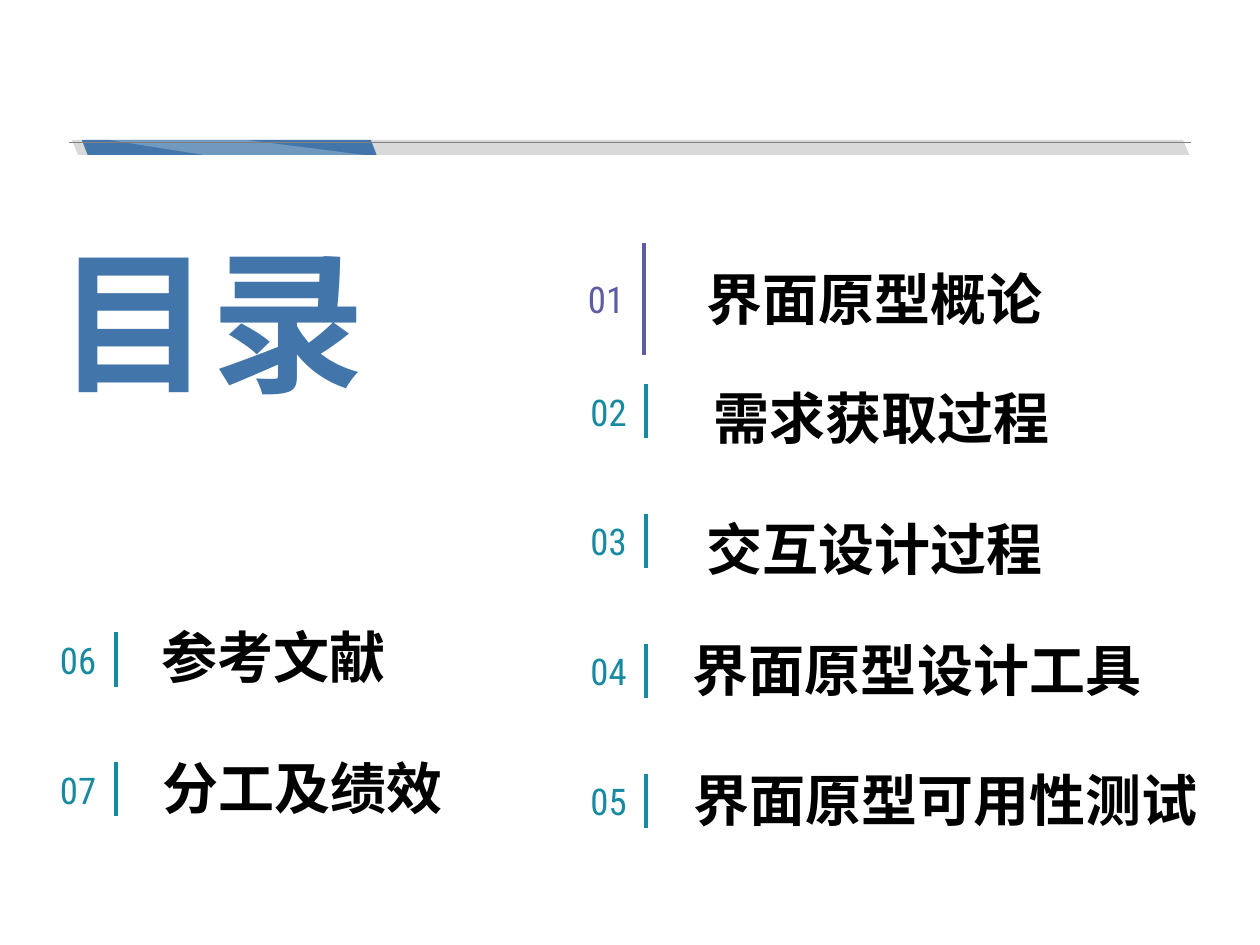
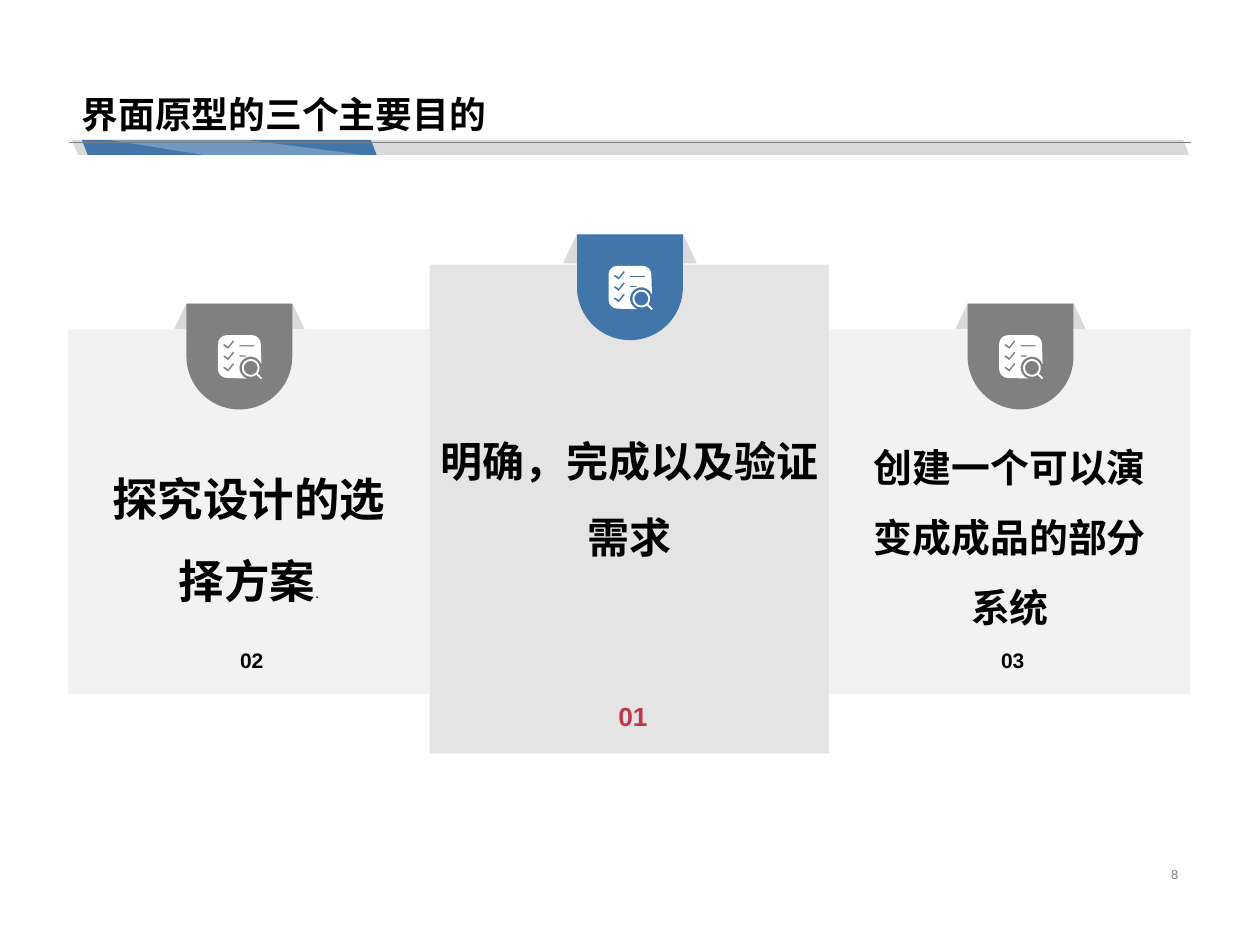
import math

from lxml import etree
from pptx import Presentation
from pptx import util as u
from pptx.dml import color
from pptx.enum import shapes, text
from pptx.oxml import ns

BLUE, TEAL, PURPLE, RED = "4276AA", "178AA1", "5E5CA2", "BD374A"
BLACK, WHITE, GRAY, SILVER, PALE = "000000", "FFFFFF", "808080", "D9D9D9", "F2F2F2"
BODY_FONT, NUMBER_FONT = "Arial", "Roboto Condensed"
LEFT, CENTER, RIGHT = text.PP_ALIGN.LEFT, text.PP_ALIGN.CENTER, text.PP_ALIGN.RIGHT
MIDDLE, BOTTOM = text.MSO_ANCHOR.MIDDLE, text.MSO_ANCHOR.BOTTOM
SHAPE = shapes.MSO_SHAPE
WIDE_INSETS = (0.1, 0.05, 0.1, 0.05)
TIGHT_INSETS = (0.07, 0.04, 0.07, 0.04)
NO_INSETS = (0, 0, 0, 0)


def rgb(value):
    return color.RGBColor.from_string(value)


def paint(shape, fill, alpha=None):
    shape.shadow.inherit = False
    shape.fill.solid()
    shape.fill.fore_color.rgb = rgb(fill)
    if alpha is not None:
        fill_color = shape.fill._xPr.find(".//" + ns.qn("a:srgbClr"))
        etree.SubElement(fill_color, ns.qn("a:alpha"), val=str(alpha * 1000))
    shape.line.fill.background()


def add_preset(slide, preset, left, top, width, height, fill, adjust=(), alpha=None):
    shape = slide.shapes.add_shape(
        preset, u.Inches(left), u.Inches(top), u.Inches(width), u.Inches(height))
    for index, value in enumerate(adjust):
        shape.adjustments[index] = value
    paint(shape, fill, alpha)
    return shape


def add_outline(slide, left, top, contours, fill, alpha=None):
    """Draw closed contours as one shape; inner contours are holes."""
    builder = None
    for contour in contours:
        corners = [(u.Inches(left + x), u.Inches(top + y)) for x, y in contour]
        if builder is None:
            builder = slide.shapes.build_freeform(*corners[0])
        else:
            builder.move_to(*corners[0])
        builder.add_line_segments(corners[1:], close=True)
    paint(builder.convert_to_shape(), fill, alpha)


def add_line(slide, x1, y1, x2, y2, line, weight):
    connector = slide.shapes.add_connector(
        shapes.MSO_CONNECTOR.STRAIGHT,
        u.Inches(x1), u.Inches(y1), u.Inches(x2), u.Inches(y2))
    connector.line.color.rgb = rgb(line)
    connector.line.width = u.Pt(weight)
    etree.SubElement(connector._element.spPr, ns.qn("a:effectLst"))


def write(shape, runs, align=LEFT, anchor=MIDDLE, insets=TIGHT_INSETS,
          wrap=True, spacing=None):
    """Each run is (words, size, colour, bold, font)."""
    frame = shape.text_frame
    frame.word_wrap = wrap
    frame.vertical_anchor = anchor
    (frame.margin_left, frame.margin_top,
     frame.margin_right, frame.margin_bottom) = map(u.Inches, insets)
    paragraph = frame.paragraphs[0]
    paragraph.alignment = align
    if spacing:
        paragraph.line_spacing = spacing
    for words, size, ink, bold, font in runs:
        run = paragraph.add_run()
        run.text = words
        run.font.size = u.Pt(size)
        run.font.bold = bold
        run.font.name = font
        run.font.color.rgb = rgb(ink)


def add_text(slide, left, top, width, height, runs, **layout):
    box = slide.shapes.add_textbox(
        u.Inches(left), u.Inches(top), u.Inches(width), u.Inches(height))
    write(box, runs, **layout)


# Shared header and title
def add_slide(presentation, title=None):
    slide = presentation.slides.add_slide(presentation.slide_layouts[6])
    add_header_band(slide, 0.57, 1.11, 8.87, 0.12)
    if title:
        add_text(slide, 0.55, 0, 8.9, 1.13, [(title, 21, BLACK, True, BODY_FONT)],
                 anchor=BOTTOM, insets=WIDE_INSETS, spacing=0.9)
    return slide


def add_header_band(slide, left, top, width, height):
    for offset, length, slant, fill in ((0, width, 0.42, SILVER),
                                        (0.08, 2.34, 0.39, BLUE)):
        bar = add_preset(slide, SHAPE.PARALLELOGRAM, left + offset, top, length,
                         height, fill, [slant])
        bar._element.spPr.xfrm.set("flipH", "1")
    sheen = [(2.32, height), (1.38, 0), (0.29, 0), (1.05, height)]
    add_outline(slide, left, top, [sheen], WHITE, alpha=25)
    add_line(slide, 0.55, top + 0.02, 9.45, top + 0.02, GRAY, 0.25)


# Agenda slide
def add_agenda_entry(slide, rule_x, top, number, label, label_gap, label_drop,
                     rule_height=0.43, ink=TEAL):
    middle = top + rule_height / 2
    add_text(slide, rule_x - 0.6, middle - 0.19, 0.6, 0.38,
             [(number, 21, ink, False, NUMBER_FONT)],
             align=CENTER, insets=NO_INSETS, wrap=False)
    add_line(slide, rule_x, top, rule_x, top + rule_height, ink, 2.25)
    label_height = 0.72
    add_text(slide, rule_x + label_gap, top + label_drop - label_height,
             len(label) * 0.45 + 0.14, label_height,
             [(label, 32, BLACK, True, BODY_FONT)],
             anchor=BOTTOM, wrap=False, spacing=0.9 if number == "01" else None)


def build_agenda(presentation):
    slide = add_slide(presentation)
    add_text(slide, 0.39, 1.73, 2.6, 1.6, [("目录", 88, BLUE, True, BODY_FONT)],
             wrap=False)
    add_agenda_entry(slide, 5.11, 1.93, "01", "界面原型概论", 0.43, 0.75,
                     rule_height=0.89, ink=PURPLE)
    columns = (
        (5.13, 3.05, 2, (("需求获取过程", 0.46, 0.57), ("交互设计过程", 0.41, 0.58),
                         ("界面原型设计工具", 0.3, 0.51),
                         ("界面原型可用性测试", 0.3, 0.51))),
        (0.92, 5.02, 6, (("参考文献", 0.29, 0.49), ("分工及绩效", 0.3, 0.5))),
    )
    row_pitch = 1.03
    for rule_x, top, first_number, entries in columns:
        for row, (label, gap, drop) in enumerate(entries):
            add_agenda_entry(slide, rule_x, top + row * row_pitch,
                             f"{first_number + row:02d}", label, gap, drop)


# Purposes slide
def arc(center_x, center_y, radius, start, end, steps):
    angles = [math.radians(start + (end - start) * step / steps)
              for step in range(steps + 1)]
    return [(center_x + radius * math.cos(angle), center_y + radius * math.sin(angle))
            for angle in angles]


def add_checklist_icon(slide, left, top):
    size, corner, lens = 0.34, 0.07, 0.26
    far = size - corner
    # Sheet with a bite around the magnifier
    sheet = (arc(corner, corner, corner, 180, 270, 4)
             + arc(far, corner, corner, 270, 360, 4)
             + arc(lens, lens, 0.09, -20, -250, 12)
             + arc(corner, far, corner, 90, 180, 4))
    tick = [(0.04, 0.08), (0.05, 0.07), (0.08, 0.09), (0.12, 0.04), (0.13, 0.05),
            (0.08, 0.11)]
    ticks = [[(x, y + 0.09 * row) for x, y in tick] for row in range(3)]
    bars = [[(0.17, y), (end, y), (end, y + 0.01), (0.17, y + 0.01)]
            for y, end in ((0.08, 0.29), (0.16, 0.22))]
    rings = [arc(lens, lens, radius, 0, 345, 23) for radius in (0.07, 0.055)]
    handle = [(lens + x, lens + y) for x, y in
              ((0.045, 0.055), (0.055, 0.045), (0.09, 0.08), (0.08, 0.09))]
    add_outline(slide, left, top, [sheet, *ticks, *bars, *rings, handle], WHITE)


def add_card(slide, box, fill, alpha, tab_center, tab_rise, tab_fill,
             number, body_box, body):
    left, top, width, height = box
    tab_top, tab_size = top - tab_rise, 0.84
    tab_left = tab_center - tab_size / 2
    add_preset(slide, SHAPE.TRAPEZOID, tab_center - 0.53, tab_top, 1.06, 0.23,
               SILVER, [0.47])
    panel = add_preset(slide, SHAPE.RECTANGLE, *box, fill, alpha=alpha)
    write(panel, [number], align=CENTER, anchor=BOTTOM, insets=(0.07, 0.04, 0.07, 0.17))
    add_preset(slide, SHAPE.ROUND_2_SAME_RECTANGLE, tab_left, tab_top,
               tab_size, tab_size, tab_fill, [0, 0.5])
    add_checklist_icon(slide, tab_left + 0.25, tab_top + 0.25)
    inset, drop = body_box
    add_text(slide, left + inset, top + drop, width - 2 * inset, 1.66, body,
             align=CENTER, spacing=1.5)


def build_purposes(presentation):
    slide = add_slide(presentation, "界面原型的三个主要目的")
    add_text(slide, 7.06, 6.82, 2.39, 0.23, [("8", 7.5, GRAY, False, BODY_FONT)],
             align=RIGHT, insets=WIDE_INSETS)
    side_cards = (
        (0.54, 1.9, " 02", [("探究设计的选择方案", 26, BLACK, True, BODY_FONT),
                            (".", 8.2, BLACK, False, BODY_FONT)]),
        (6.58, 8.1, " 03", [("创建一个可以演变成成品的部分系统", 22.2, BLACK, True,
                             BODY_FONT)]),
    )
    for left, tab_center, number, body in side_cards:
        add_card(slide, (left, 2.61, 2.87, 2.9), PALE, None, tab_center, 0.2, GRAY,
                 (number, 12, BLACK, True, BODY_FONT), (0.18, 0.73), body)
    add_card(slide, (3.41, 2.1, 3.17, 3.88), SILVER, 70, 5, 0.24, BLUE,
             (" 01", 15, RED, True, BODY_FONT), (0, 0.93),
             [("明确，完成以及验证需求", 24, BLACK, True, BODY_FONT)])


def main():
    presentation = Presentation()
    presentation.slide_width = u.Inches(10)
    presentation.slide_height = u.Inches(7.5)
    build_agenda(presentation)
    build_purposes(presentation)
    presentation.save("out.pptx")


if __name__ == "__main__":
    main()
